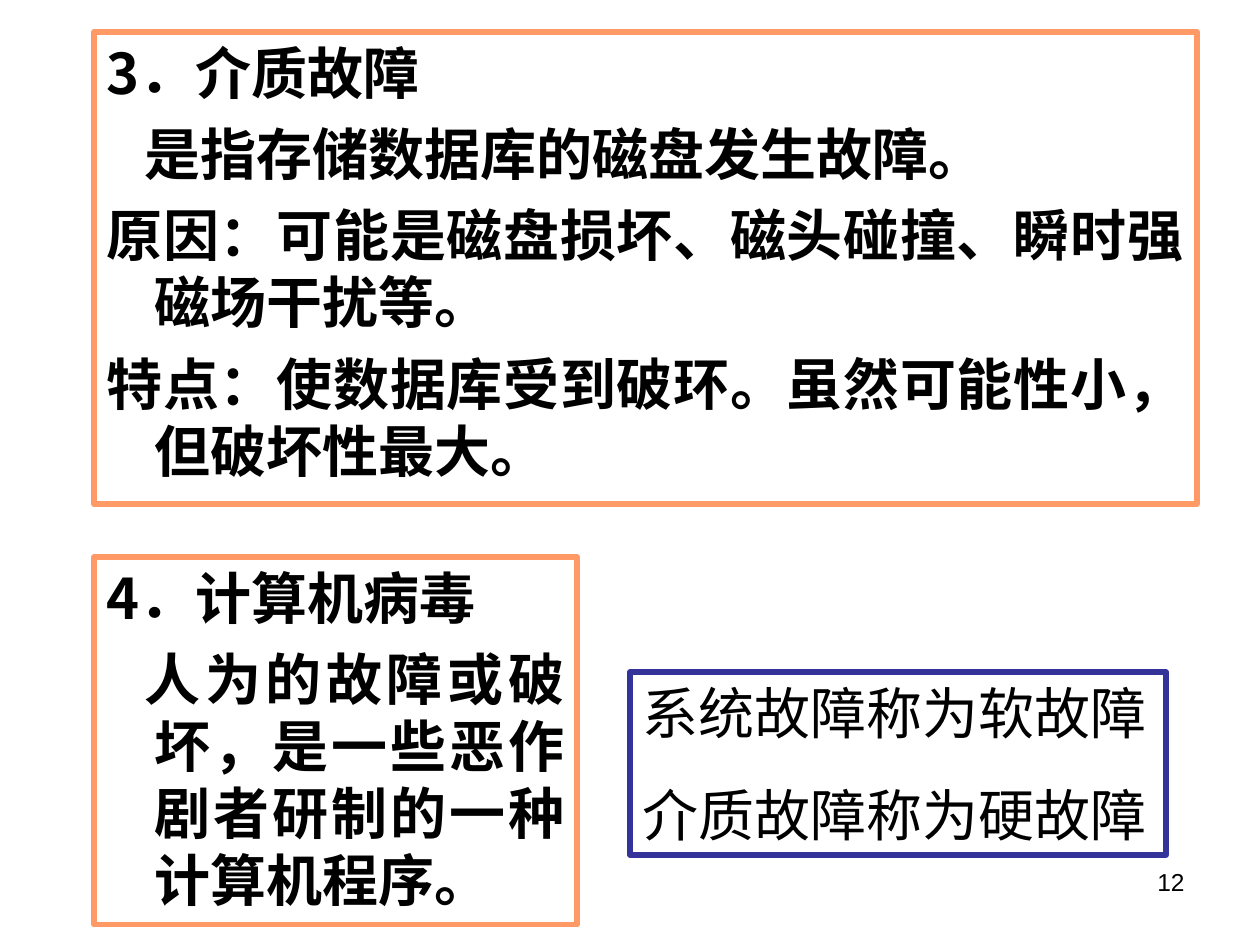
from lxml.etree import SubElement
from pptx import Presentation
from pptx.dml.color import RGBColor
from pptx.enum.shapes import MSO_SHAPE
from pptx.enum.text import MSO_ANCHOR, MSO_AUTO_SIZE, PP_ALIGN
from pptx.oxml.ns import qn
from pptx.util import Pt

COLORS = {"text": "000000", "paper": "FFFFFF", "fault": "FF9966", "summary": "333399"}
SANS = "Noto Sans CJK SC"
HANG = 48  # left margin of wrapped lines


def px(n):
    return round(n * 914400 / 126)


def write(sp, lines, size=32, font=SANS, bold=False, align=PP_ALIGN.LEFT,
          before=0, margin=0):
    """Fill a shape with (text, first line start) pairs, one paragraph each."""
    tf = sp.text_frame
    tf.word_wrap = True
    tf.auto_size = MSO_AUTO_SIZE.NONE
    tf.vertical_anchor = MSO_ANCHOR.TOP
    for i, (text, start) in enumerate(lines):
        p = tf.add_paragraph() if i else tf.paragraphs[0]
        p.alignment = align
        p.space_before = Pt(before if i else 0)
        pPr = p._p.get_or_add_pPr()
        pPr.set("marL", str(px(margin)))
        pPr.set("indent", str(px(start - margin)))
        SubElement(pPr, qn("a:buNone"))
        r = p.add_run()
        r.text = text
        r.font.size, r.font.bold, r.font.name = Pt(size), bold, font
        r.font.color.rgb = RGBColor.from_string(COLORS["text"])
        SubElement(r._r.get_or_add_rPr(), qn("a:ea")).set("typeface", SANS)


prs = Presentation()
prs.slide_width, prs.slide_height = px(1260), px(945)
s = prs.slides.add_slide(prs.slide_layouts[1])
title = s.shapes.title
title._element.getparent().remove(title._element)

media = s.placeholders[1]
media.left, media.top, media.width, media.height = px(94), px(32), px(1103), px(472)
summary = s.shapes.add_shape(MSO_SHAPE.RECTANGLE, px(630), px(672), px(536), px(183))
virus = s.shapes.add_shape(MSO_SHAPE.RECTANGLE, px(94), px(557), px(483), px(368))
number = s.shapes.add_textbox(px(903), px(861), px(294), px(66))

for sp, color in ((media, "fault"), (summary, "summary"), (virus, "fault")):
    sp.fill.solid()
    sp.fill.fore_color.rgb = RGBColor.from_string(COLORS["paper"])
    sp.line.color.rgb = RGBColor.from_string(COLORS[color])
    sp.line.width = Pt(3)
for sp in (summary, virus):
    sp.shadow.inherit = False

fault_style = dict(bold=True, align=PP_ALIGN.JUSTIFY, before=8, margin=HANG)
write(media, [
    ("3．介质故障", 0),
    ("是指存储数据库的磁盘发生故障。", 38),
    ("原因：可能是磁盘损坏、磁头碰撞、瞬时强磁场干扰等。", 0),
    ("特点：使数据库受到破环。虽然可能性小，但破坏性最大。", 0),
], **fault_style)
write(virus, [
    ("4．计算机病毒", 0),
    ("人为的故障或破坏，是一些恶作剧者研制的一种计算机程序。", 38),
], **fault_style)
write(summary, [("系统故障称为软故障", 0), ("介质故障称为硬故障", 0)],
      font="Times New Roman", before=20)
write(number, [("12", 0)], size=14, font="Arial", align=PP_ALIGN.RIGHT)

prs.save("out.pptx")
